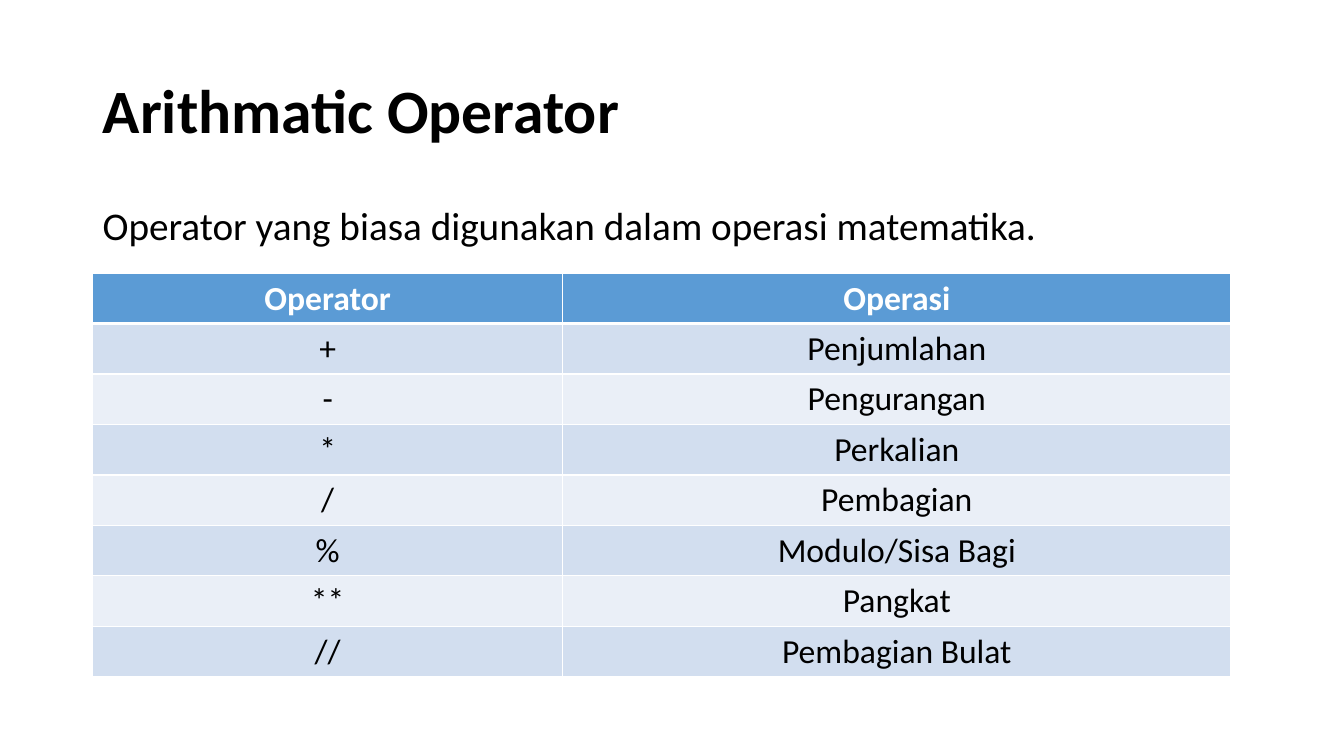
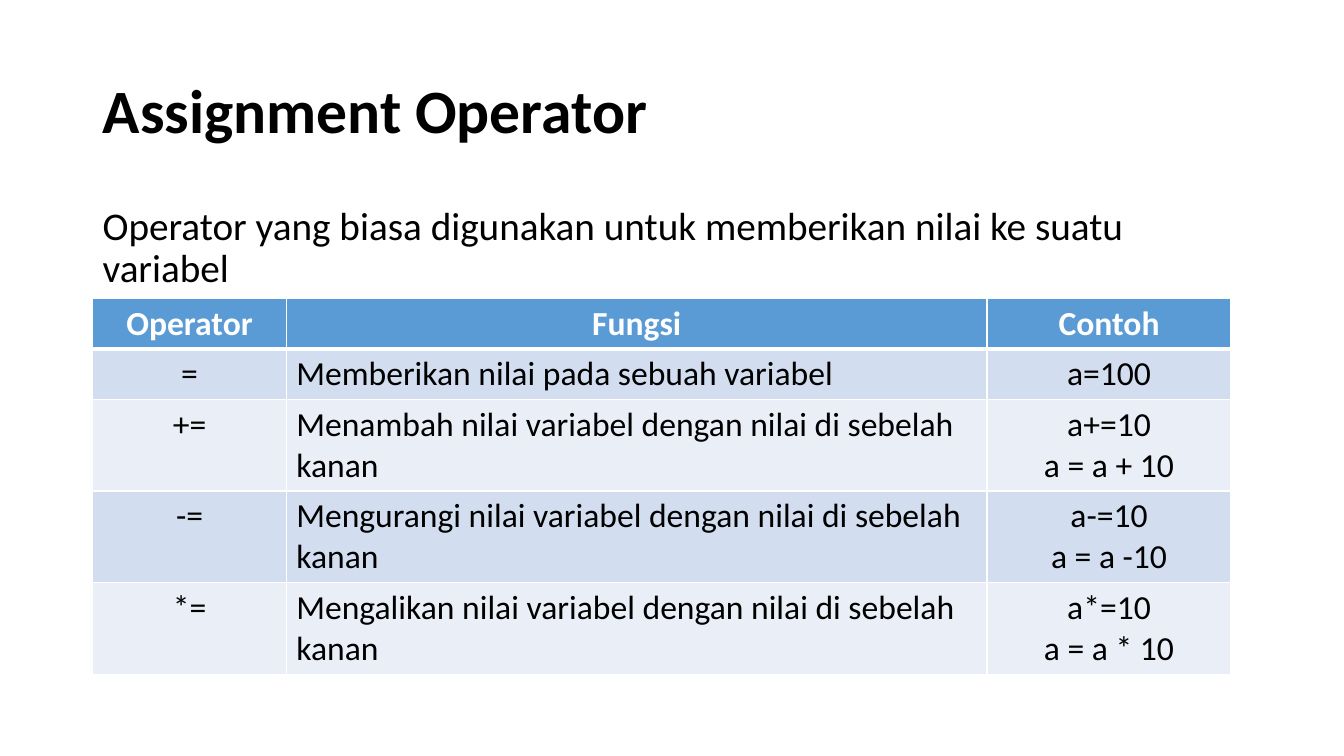
from dataclasses import dataclass
from pptx import Presentation
from pptx.dml.color import RGBColor as RGB
from pptx.enum.text import MSO_ANCHOR as Anchor, MSO_AUTO_SIZE as Fit, PP_ALIGN as Align
from pptx.oxml import parse_xml
from pptx.oxml.ns import nsdecls
from pptx.util import Inches, Pt


@dataclass(frozen=True)
class Theme:
    font: str = "Calibri"
    ink: str = "000000"
    white: str = "FFFFFF"
    head: str = "5B9BD5"
    bands: tuple = ("D2DEEF", "EAEFF7")
    title: int = 44
    body: int = 28
    cell: int = 24
    thin: int = 1
    thick: int = 3


THEME = Theme()
LEFT = 0.92
TITLE_BOX = (LEFT, 0.4, 11.5, 1.45)
INTRO_BOX = (LEFT, 2, 11.5, 0.95)
CENTER, START = Align.CENTER, Align.LEFT

SLIDES = [
    {
        "title": "Arithmatic Operator",
        "intro": "Operator yang biasa digunakan dalam operasi matematika.",
        "top": 2.71,
        "cols": [(4.66, CENTER), (6.63, CENTER)],
        "rows": [
            ("Operator", "Operasi"),
            ("+", "Penjumlahan"),
            ("-", "Pengurangan"),
            ("*", "Perkalian"),
            ("/", "Pembagian"),
            ("%", "Modulo/Sisa Bagi"),
            ("**", "Pangkat"),
            ("//", "Pembagian Bulat"),
        ],
        "heights": [0.5] * 8,
    },
    {
        "title": "Assignment Operator",
        "intro": "Operator yang biasa digunakan untuk memberikan nilai ke suatu variabel",
        "top": 2.96,
        "cols": [(1.92, CENTER), (6.95, START), (2.42, CENTER)],
        "rows": [
            ("Operator", "Fungsi", "Contoh"),
            ("=", "Memberikan nilai pada sebuah variabel", "a=100"),
            ("+=", "Menambah nilai variabel dengan nilai di sebelah kanan", "a+=10\na = a + 10"),
            ("-=", "Mengurangi nilai variabel dengan nilai di sebelah kanan", "a-=10\na = a -10"),
            ("*=", "Mengalikan nilai variabel dengan nilai di sebelah kanan", "a*=10\na = a * 10"),
        ],
        "heights": [0.5] * 2 + [0.91] * 3,
    },
]


def write(frame, text, size, color, bold=False, align=START):
    frame.text = text
    for para in frame.paragraphs:
        para.alignment = align
        font = para.font
        font.name, font.size, font.bold = THEME.font, Pt(size), bold
        font.color.rgb = RGB.from_string(color)


def add_title(slide, text, box):
    shape = slide.shapes.title
    shape.left, shape.top, shape.width, shape.height = map(Inches, box)
    frame = shape.text_frame
    frame.auto_size = Fit.NONE
    frame.vertical_anchor = Anchor.MIDDLE
    write(frame, text, THEME.title, THEME.ink, bold=True)
    frame.paragraphs[0].line_spacing = 0.9


def add_intro(slide, text, box):
    frame = slide.shapes.add_textbox(*map(Inches, box)).text_frame
    frame.word_wrap = True
    write(frame, text, THEME.body, THEME.ink)
    para = frame.paragraphs[0]
    para.line_spacing = 0.9
    para.space_before = Pt(10)


def add_edges(cell, widths):
    props = cell._tc.get_or_add_tcPr()
    for side, width in zip("LRTB", widths):
        props.append(parse_xml(
            f'<a:ln{side} {nsdecls("a")} w="{Pt(width)}"><a:solidFill>'
            f'<a:srgbClr val="{THEME.white}"/></a:solidFill></a:ln{side}>'))


def style_cell(cell, text, row, align):
    head = row == 0
    thin, thick = THEME.thin, THEME.thick
    add_edges(cell, (thin, thin, thick if row == 1 else thin, thick if head else thin))
    cell.fill.solid()
    fill = THEME.head if head else THEME.bands[(row - 1) % 2]
    cell.fill.fore_color.rgb = RGB.from_string(fill)
    color = THEME.white if head else THEME.ink
    write(cell.text_frame, text, THEME.cell, color, head, CENTER if head else align)


def add_grid(slide, rows, cols, heights, left, top):
    width = sum(size for size, _ in cols)
    box = map(Inches, (left, top, width, sum(heights)))
    table = slide.shapes.add_table(len(rows), len(cols), *box).table
    for col, (size, _) in zip(table.columns, cols):
        col.width = Inches(size)
    for i, (texts, height) in enumerate(zip(rows, heights)):
        table.rows[i].height = Inches(height)
        for j, (text, (_, align)) in enumerate(zip(texts, cols)):
            style_cell(table.cell(i, j), text, i, align)


def add_page(deck, data):
    slide = deck.slides.add_slide(deck.slide_layouts[5])
    add_title(slide, data["title"], TITLE_BOX)
    add_intro(slide, data["intro"], INTRO_BOX)
    add_grid(slide, data["rows"], data["cols"], data["heights"], LEFT, data["top"])


def main():
    deck = Presentation()
    deck.slide_width, deck.slide_height = Inches(13.33), Inches(7.5)
    for data in SLIDES:
        add_page(deck, data)
    deck.save("out.pptx")


if __name__ == "__main__":
    main()
